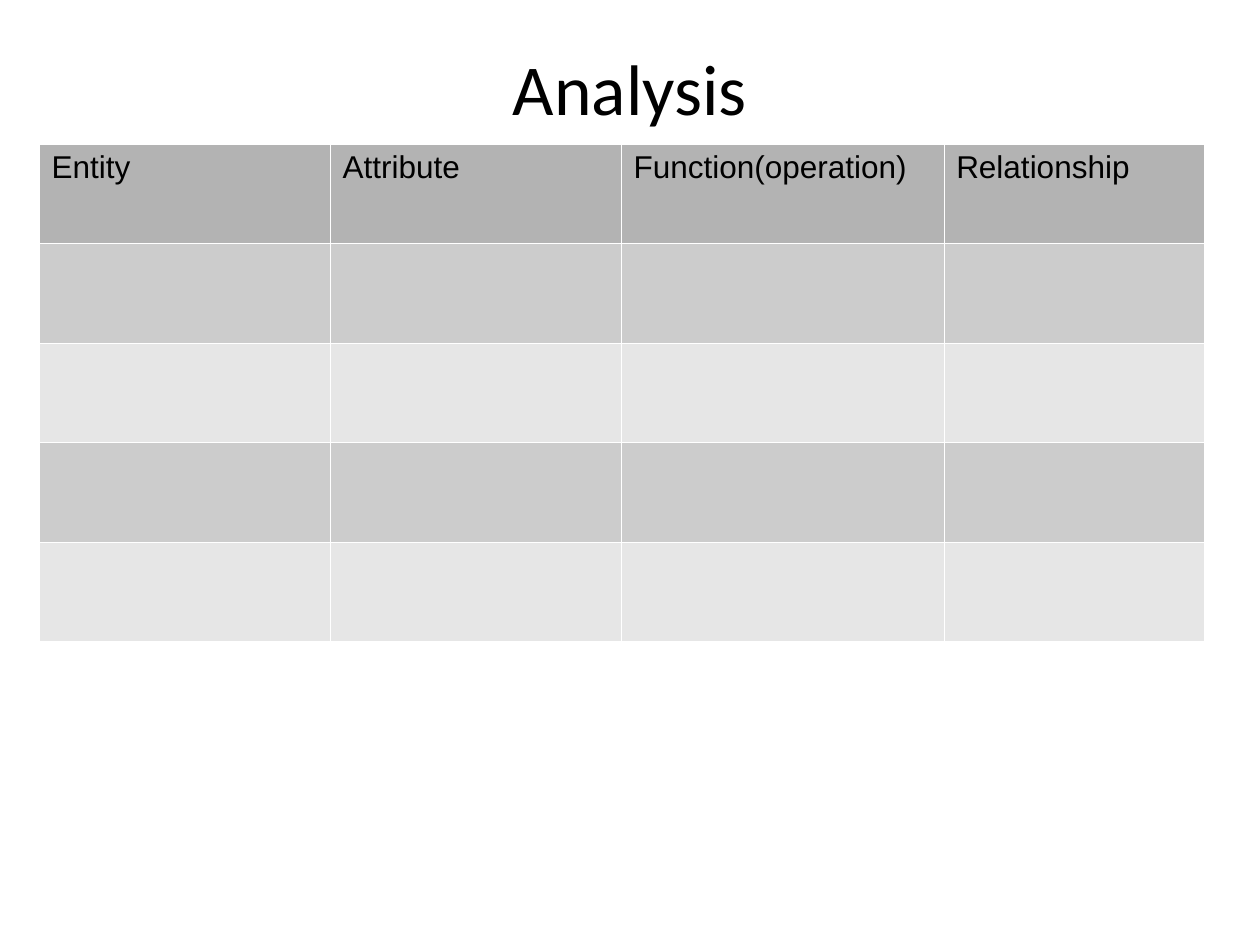
import dataclasses

import lxml.etree
import pptx
import pptx.dml.color
import pptx.enum.text
import pptx.oxml.ns
import pptx.util


@dataclasses.dataclass(frozen=True)
class Theme:
    title_font: str = "Calibri"
    table_font: str = "Arial"
    title_size: float = 40.9
    table_size: float = 18
    text_color: str = "000000"
    border_color: str = "FFFFFF"
    border_width: float = 0.06
    header_fill: str = "B3B3B3"
    band_fills: tuple = ("CCCCCC", "E6E6E6")


THEME = Theme()
SLIDE_WIDTH = pptx.util.Inches(10)
SLIDE_HEIGHT = pptx.util.Inches(7.5)
HEADINGS = ("Entity", "Attribute", "Function(operation)", "Relationship")
COLUMN_WIDTHS = (2.31, 2.31, 2.56, 2.07)
ROW_COUNT = 5
ROW_HEIGHT = 0.79


def format_paragraph(paragraph, font_name, size):
    for run in paragraph.runs:
        run.font.name = font_name
        run.font.size = pptx.util.Pt(size)
        run.font.color.rgb = pptx.dml.color.RGBColor.from_string(THEME.text_color)


def add_title(slide, text):
    shape = slide.shapes.add_textbox(
        int(SLIDE_WIDTH * 0.05), int(SLIDE_HEIGHT * 0.04),
        int(SLIDE_WIDTH * 0.9), pptx.util.Inches(0.78),
    )
    text_frame = shape.text_frame
    text_frame.text = text
    text_frame.word_wrap = True
    text_frame.vertical_anchor = pptx.enum.text.MSO_ANCHOR.MIDDLE
    paragraph = text_frame.paragraphs[0]
    paragraph.alignment = pptx.enum.text.PP_ALIGN.CENTER
    format_paragraph(paragraph, THEME.title_font, THEME.title_size)


def set_borders(cell):
    qualified = pptx.oxml.ns.qn
    properties = cell._tc.get_or_add_tcPr()
    for side in ("a:lnL", "a:lnR", "a:lnT", "a:lnB"):
        line = lxml.etree.SubElement(
            properties, qualified(side), w=str(pptx.util.Pt(THEME.border_width))
        )
        fill = lxml.etree.SubElement(line, qualified("a:solidFill"))
        lxml.etree.SubElement(fill, qualified("a:srgbClr"), val=THEME.border_color)


def style_cell(cell, fill_color):
    set_borders(cell)
    cell.fill.solid()
    cell.fill.fore_color.rgb = pptx.dml.color.RGBColor.from_string(fill_color)


def add_analysis_table(slide):
    table = slide.shapes.add_table(
        ROW_COUNT, len(HEADINGS),
        pptx.util.Inches(0.31), pptx.util.Inches(1.14),
        pptx.util.Inches(sum(COLUMN_WIDTHS)),
        pptx.util.Inches(ROW_COUNT * ROW_HEIGHT),
    ).table
    for column, width in zip(table.columns, COLUMN_WIDTHS):
        column.width = pptx.util.Inches(width)
    for row_index, row in enumerate(table.rows):
        row.height = pptx.util.Inches(ROW_HEIGHT)
        band_fill = THEME.band_fills[(row_index - 1) % len(THEME.band_fills)]
        for cell in row.cells:
            style_cell(cell, band_fill if row_index else THEME.header_fill)
    for cell, heading in zip(table.rows[0].cells, HEADINGS):
        cell.text_frame.text = heading
        paragraph = cell.text_frame.paragraphs[0]
        format_paragraph(paragraph, THEME.table_font, THEME.table_size)
        for run in paragraph.runs:
            run.font.bold = False


def main():
    presentation = pptx.Presentation()
    presentation.slide_width = SLIDE_WIDTH
    presentation.slide_height = SLIDE_HEIGHT
    slide = presentation.slides.add_slide(presentation.slide_layouts[6])
    add_title(slide, "Analysis")
    add_analysis_table(slide)
    presentation.save("out.pptx")


if __name__ == "__main__":
    main()
